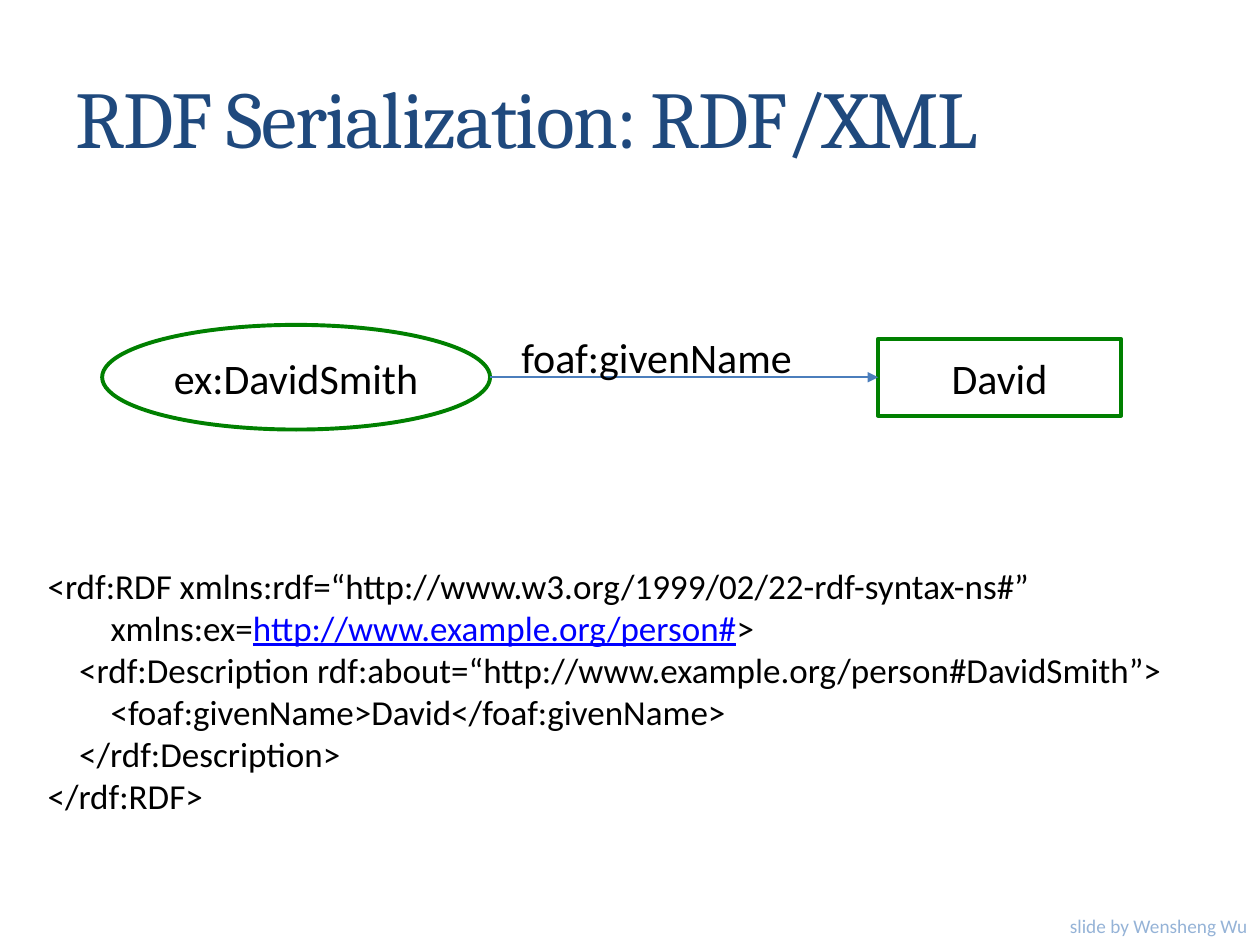
"""Build the RDF/XML serialization slide."""
from dataclasses import dataclass

from lxml.etree import SubElement, fromstring
from pptx import Presentation
from pptx.dml.color import RGBColor
from pptx.enum.shapes import MSO_CONNECTOR, MSO_SHAPE
from pptx.enum.text import MSO_ANCHOR, MSO_AUTO_SIZE, PP_ALIGN
from pptx.oxml.ns import nsdecls, qn
from pptx.util import Cm, Pt

BLACK = RGBColor(0x00, 0x00, 0x00)
NAVY = RGBColor(0x1F, 0x49, 0x7D)
GREEN = RGBColor(0x00, 0x80, 0x00)
ARROW_BLUE = RGBColor(0x4B, 0x7E, 0xBC)
LINK_BLUE = RGBColor(0x00, 0x00, 0xFF)
PALE_BLUE = RGBColor(0x95, 0xB3, 0xD7)

NAMESPACE_URL = "http://www.example.org/person#"
CODE_LINES = (
    ("<rdf:RDF xmlns:rdf=“http://www.w3.org/1999/02/22-rdf-syntax-ns#”",),
    ("\txmlns:ex=", NAMESPACE_URL, ">"),
    ("    <rdf:Description rdf:about=“http://www.example.org/person#DavidSmith”>",),
    ("\t<foaf:givenName>David</foaf:givenName>",),
    ("    </rdf:Description>",),
    ("</rdf:RDF>",),
)
TITLE_SHADOW = (
    f'<a:effectLst {nsdecls("a")}><a:outerShdw blurRad="50800" dist="50800" dir="2700000" '
    'algn="tl" rotWithShape="0"><a:srgbClr val="000000"><a:alpha val="45000"/></a:srgbClr>'
    "</a:outerShdw></a:effectLst>"
)


@dataclass(frozen=True)
class Box:
    left: float
    top: float
    width: float
    height: float

    def lengths(self) -> tuple:
        return Cm(self.left), Cm(self.top), Cm(self.width), Cm(self.height)


@dataclass(frozen=True)
class Node:
    text: str
    geometry: MSO_SHAPE
    box: Box


SUBJECT = Node("ex:DavidSmith", MSO_SHAPE.OVAL, Box(2.06, 6.55, 7.82, 2.11))
VALUE = Node("David", MSO_SHAPE.RECTANGLE, Box(17.7, 6.83, 4.9, 1.55))


def style_font(font, size: float, color: RGBColor, name: str = "Calibri") -> None:
    font.size = Pt(size)
    font.color.rgb = color
    font.name = name


def add_title(slide, text: str) -> None:
    title = slide.shapes.title
    title.left, title.top, title.width, title.height = Box(1.27, 0.76, 22.89, 3.18).lengths()
    frame = title.text_frame
    frame.text = text
    frame.auto_size = MSO_AUTO_SIZE.NONE
    frame.vertical_anchor = MSO_ANCHOR.MIDDLE
    paragraph = frame.paragraphs[0]
    paragraph.alignment = PP_ALIGN.LEFT
    run = paragraph.runs[0]
    style_font(run.font, 46, NAVY, "Cambria")
    properties = run._r.get_or_add_rPr()
    properties.set("spc", "-100")
    properties.find(qn("a:solidFill")).addnext(fromstring(TITLE_SHADOW))


def add_label(slide, box: Box, text: str, size: float, color: RGBColor,
              alignment: PP_ALIGN = PP_ALIGN.LEFT, wrap: bool = True) -> None:
    frame = slide.shapes.add_textbox(*box.lengths()).text_frame
    frame.text = text
    frame.word_wrap = wrap
    paragraph = frame.paragraphs[0]
    paragraph.alignment = alignment
    style_font(paragraph.runs[0].font, size, color)


def add_node(slide, node: Node):
    shape = slide.shapes.add_shape(node.geometry, *node.box.lengths())
    shape.shadow.inherit = False
    shape.fill.background()
    shape.line.color.rgb = GREEN
    shape.line.width = Pt(2.25)
    frame = shape.text_frame
    frame.text = node.text
    frame.vertical_anchor = MSO_ANCHOR.MIDDLE
    paragraph = frame.paragraphs[0]
    paragraph.alignment = PP_ALIGN.CENTER
    style_font(paragraph.runs[0].font, 24, BLACK)
    return shape


def add_arrow(slide, source, target) -> None:
    middle = source.top + source.height // 2
    arrow = slide.shapes.add_connector(
        MSO_CONNECTOR.STRAIGHT, source.left + source.width, middle, target.left, middle)
    arrow.end_connect(target, 1)
    arrow.line.color.rgb = ARROW_BLUE
    arrow.line.width = Pt(1)
    SubElement(arrow.line._get_or_add_ln(), qn("a:tailEnd"), type="triangle")
    SubElement(arrow._element.spPr, qn("a:effectLst"))


def add_code(slide, box: Box) -> None:
    frame = slide.shapes.add_textbox(*box.lengths()).text_frame
    frame.word_wrap = False
    for index, pieces in enumerate(CODE_LINES):
        paragraph = frame.add_paragraph() if index else frame.paragraphs[0]
        for piece in pieces:
            run = paragraph.add_run()
            run.text = piece
            is_link = piece == NAMESPACE_URL
            style_font(run.font, 20, LINK_BLUE if is_link else BLACK)
            if is_link:
                run.font.underline = True


def main() -> None:
    presentation = Presentation()
    presentation.slide_width = Cm(25.4)
    presentation.slide_height = Cm(19.05)
    slide = presentation.slides.add_slide(presentation.slide_layouts.get_by_name("Title Only"))
    add_title(slide, "RDF Serialization: RDF/XML")
    add_code(slide, Box(0.71, 11.25, 23.19, 6.25))
    subject = add_node(slide, SUBJECT)
    value = add_node(slide, VALUE)
    add_arrow(slide, subject, value)
    add_label(slide, Box(10.26, 6.55, 6.78, 1.27), "foaf:givenName", 24, BLACK)
    add_label(slide, Box(21.26, 18.31, 4.14, 0.74), "slide by Wensheng Wu", 11, PALE_BLUE,
              PP_ALIGN.RIGHT, wrap=False)
    presentation.save("out.pptx")


if __name__ == "__main__":
    main()
